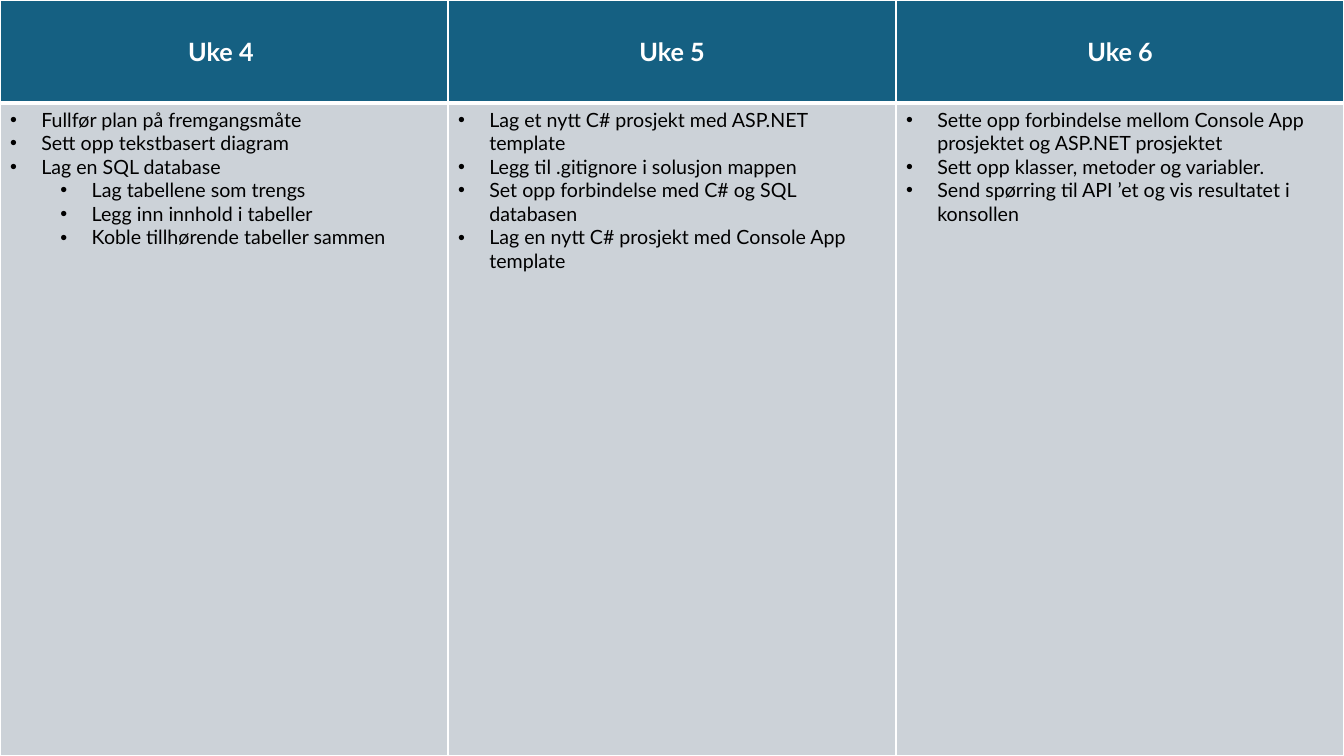
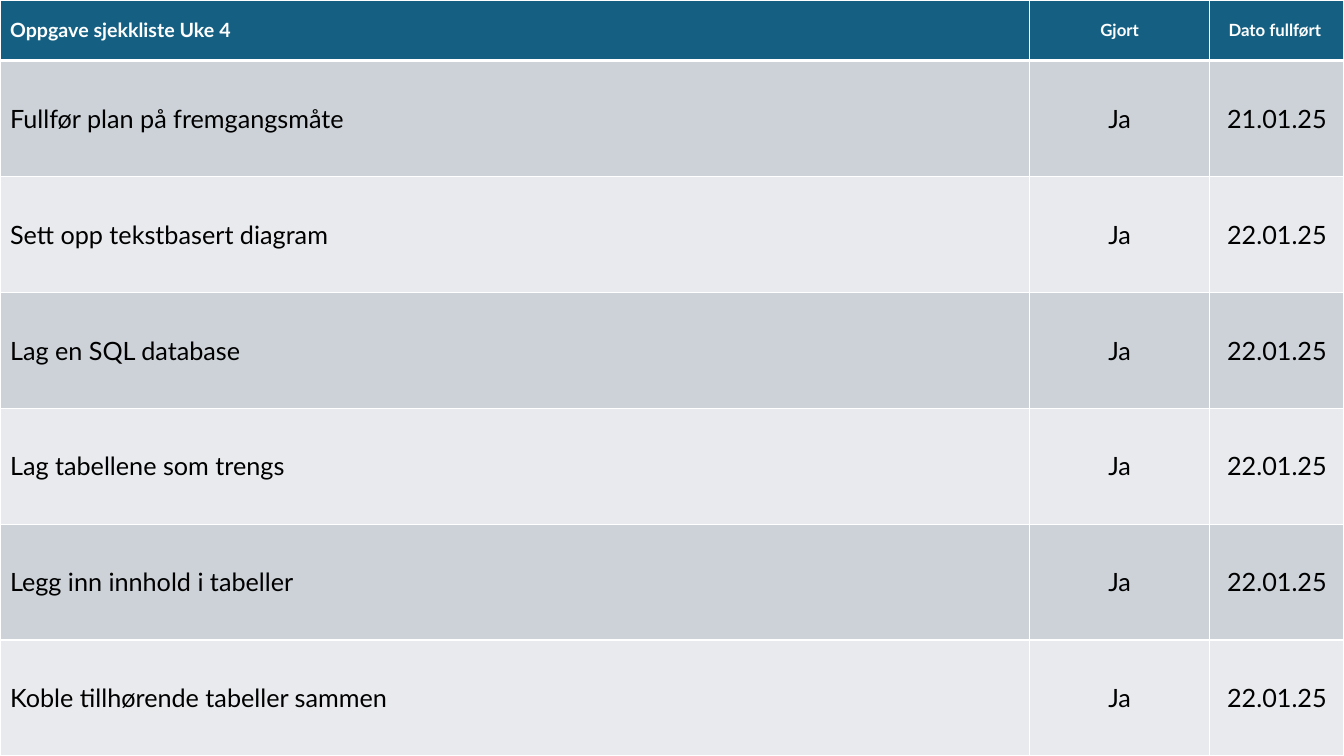
from lxml import etree
from pptx import Presentation
from pptx.dml.color import RGBColor
from pptx.enum import text
from pptx.oxml import ns
from pptx.util import Inches, Pt

FONT = "Lato"
WHITE, BLACK = "FFFFFF", "000000"
HEADER, BAND_DARK, BAND_LIGHT = "156082", "CCD2D8", "E8EAED"
SLIDE_W, SLIDE_H = 13.33, 7.5
THIN, THICK = 1, 3
HANG = 0.31
LEFT, CENTER = text.PP_ALIGN.LEFT, text.PP_ALIGN.CENTER

MAIN_TASKS = [
    "Fullfør plan på fremgangsmåte",
    "Sett opp tekstbasert diagram",
    "Lag en SQL database",
]
SUB_TASKS = [
    "Lag tabellene som trengs",
    "Legg inn innhold i tabeller",
    "Koble tillhørende tabeller sammen",
]
WEEKS = [
    ("Uke 4 ", [(t, 0) for t in MAIN_TASKS] + [(t, 1) for t in SUB_TASKS]),
    ("Uke 5", [
        ("Lag et nytt C# prosjekt med ASP.NET template", 0),
        ("Legg til .gitignore i solusjon mappen", 0),
        ("Set opp forbindelse med C# og SQL databasen", 0),
        ("Lag en nytt C# prosjekt med Console App template", 0),
    ]),
    ("Uke 6", [
        ("Sette opp forbindelse mellom Console App prosjektet og ASP.NET prosjektet", 0),
        ("Sett opp klasser, metoder og variabler.", 0),
        ("Send spørring til API ’et og vis resultatet i konsollen", 0),
    ]),
]
DATES = ["21.01.25"] + ["22.01.25"] * 5


def rgb(value):
    return RGBColor.from_string(value)


def sub(parent, tag, **attrs):
    return etree.SubElement(parent, ns.qn(tag), **attrs)


def style_cell(cell, row):
    top = THICK if row == 1 else THIN
    bottom = THICK if row == 0 else THIN
    tc_pr = cell._tc.get_or_add_tcPr()
    for side, width in (("L", THIN), ("R", THIN), ("T", top), ("B", bottom)):
        ln = sub(tc_pr, f"a:ln{side}", w=str(Pt(width)))
        sub(sub(ln, "a:solidFill"), "a:srgbClr", val=WHITE)
    cell.fill.solid()
    if row == 0:
        color = HEADER
    else:
        color = BAND_DARK if row % 2 else BAND_LIGHT
    cell.fill.fore_color.rgb = rgb(color)


def style_text(p, size, header=False, align=LEFT):
    p.alignment = align
    for r in p.runs:
        r.font.name = FONT
        r.font.size = Pt(size)
        r.font.bold = header
        r.font.color.rgb = rgb(WHITE if header else BLACK)


def fill_cell(cell, value, size, header=False, align=LEFT):
    cell.vertical_anchor = text.MSO_ANCHOR.MIDDLE
    cell.text_frame.text = value
    style_text(cell.text_frame.paragraphs[0], size, header, align)


def fill_bullets(cell, items, size):
    tf = cell.text_frame
    tf.text = "\n".join(item for item, _ in items)
    for p, (_, level) in zip(tf.paragraphs, items):
        style_text(p, size)
        p.level = level
        p_pr = p._p.get_or_add_pPr()
        p_pr.set("marL", str(Inches(HANG + 0.5 * level)))
        p_pr.set("indent", str(Inches(-HANG)))
        sub(p_pr, "a:buFont", typeface="Arial")
        sub(p_pr, "a:buChar", char="•")


def add_grid(slide, box, widths, heights):
    frame = slide.shapes.add_table(len(heights), len(widths), *map(Inches, box))
    table = frame.table
    for column, width in zip(table.columns, widths):
        column.width = Inches(width)
    for i, height in enumerate(heights):
        table.rows[i].height = Inches(height)
        for cell in table.rows[i].cells:
            style_cell(cell, i)
    return table


def add_week_plan(slide, box, weeks):
    width, height = box[2:]
    header = 1.02
    table = add_grid(slide, box, [width / len(weeks)] * len(weeks), [header, height - header])
    for col, (week, items) in enumerate(weeks):
        fill_cell(table.cell(0, col), week, 18, True, CENTER)
        fill_bullets(table.cell(1, col), items, 14)


def add_checklist(slide, box, title, tasks, dates):
    width, height = box[2:]
    header, done, date = 0.6, 1.79, 1.33
    row_h = (height - header) / len(tasks)
    table = add_grid(slide, box, [width - done - date, done, date], [header] + [row_h] * len(tasks))
    rows = [(title, "Gjort", "Dato fullført ")]
    rows += [(task, "Ja", day) for task, day in zip(tasks, dates)]
    for i, values in enumerate(rows):
        sizes = (14, 12, 12) if i == 0 else (18, 18, 18)
        for col, (value, size) in enumerate(zip(values, sizes)):
            fill_cell(table.cell(i, col), value, size, i == 0, CENTER if col else LEFT)


def main():
    prs = Presentation()
    prs.slide_width, prs.slide_height = Inches(SLIDE_W), Inches(SLIDE_H)
    blank = prs.slide_layouts[6]
    box = (0, 0, SLIDE_W, SLIDE_H)
    add_week_plan(prs.slides.add_slide(blank), box, WEEKS)
    add_checklist(prs.slides.add_slide(blank), box, "Oppgave sjekkliste Uke 4",
                  MAIN_TASKS + SUB_TASKS, DATES)
    prs.save("out.pptx")


if __name__ == "__main__":
    main()
